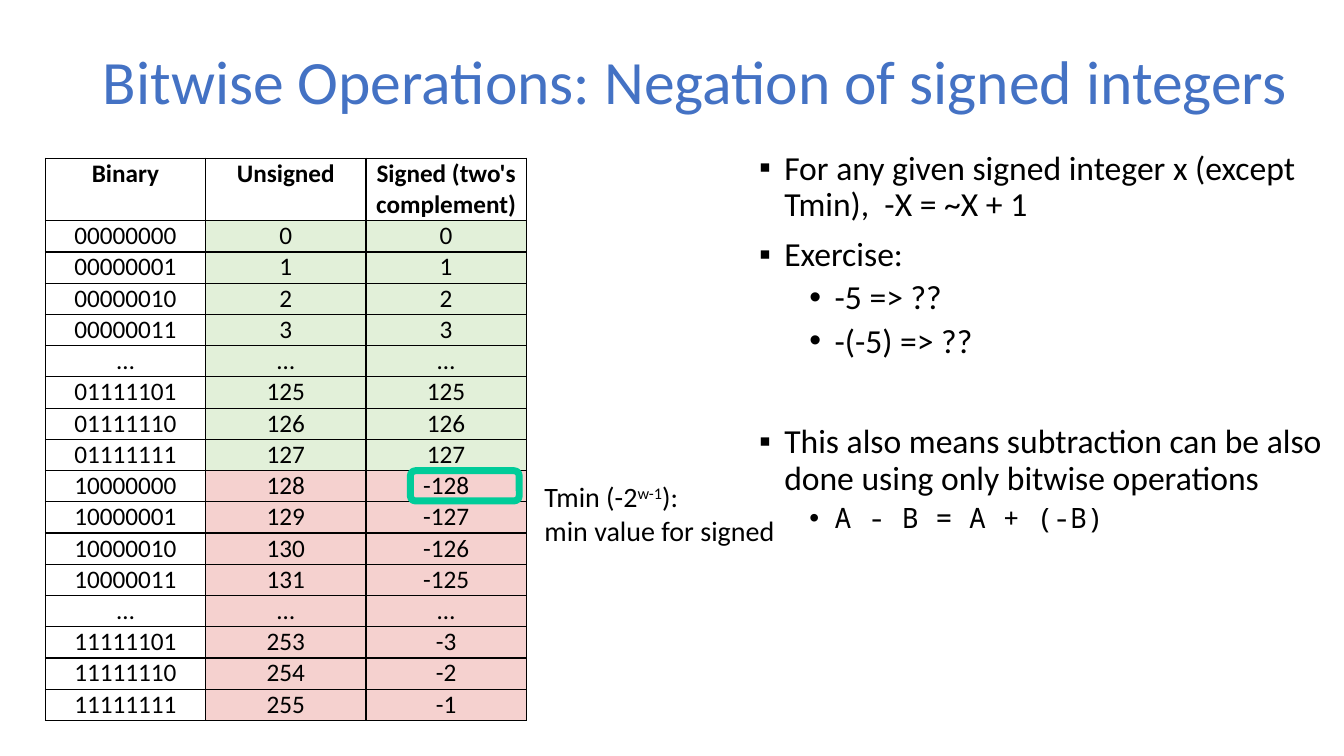
"""Build the slide on negation of signed integers."""
from lxml.etree import SubElement
from pptx import Presentation
from pptx.dml.color import RGBColor
from pptx.enum.shapes import MSO_SHAPE
from pptx.enum.text import MSO_ANCHOR, PP_ALIGN
from pptx.oxml import parse_xml
from pptx.oxml.ns import nsdecls, qn
from pptx.util import Inches, Pt

BLACK = RGBColor(0, 0, 0)
BLUE = RGBColor(0x44, 0x72, 0xC4)
GREEN = RGBColor(0xE2, 0xF0, 0xD9)
PINK = RGBColor(0xF5, 0xD1, 0xCF)
TEAL = RGBColor(0x00, 0xCC, 0x99)

LEFT, TOP = 0.45, 1.57
COL, HEAD, ROW = 1.59, 0.62, 0.31


def style(para, size, color=BLACK, face="Calibri"):
    para.font.size = Pt(size)
    para.font.name = face
    para.font.color.rgb = color


def place(left, top, width, height):
    return [Inches(side) for side in (left, top, width, height)]


deck = Presentation()
deck.slide_width, deck.slide_height = Inches(13.33), Inches(7.5)
slide = deck.slides.add_slide(deck.slide_layouts[5])
shapes = slide.shapes

title = shapes.title
title.left, title.top, title.width, title.height = place(0.92, 0.4, 12.18, 0.87)
title.text_frame.text = "Bitwise Operations: Negation of signed integers"
title.text_frame.vertical_anchor = MSO_ANCHOR.MIDDLE
para = title.text_frame.paragraphs[0]
para.alignment = PP_ALIGN.LEFT
para.line_spacing = 0.9
style(para, 44, BLUE)

rows = [("Binary", "Unsigned", "Signed (two's complement)", None)]
for num in [*range(4), None, *range(125, 132), None, *range(253, 256)]:
    tint = GREEN if len(rows) < 9 else PINK
    if num is None:
        rows.append(("…", "…", "…", tint))
    else:
        signed = num - 256 if num > 127 else num
        rows.append((f"{num:08b}", str(num), str(signed), tint))

grid = shapes.add_table(len(rows), 3, *place(
    LEFT, TOP, 3 * COL, HEAD + ROW * (len(rows) - 1))).table
grid.first_row = grid.horz_banding = False
for col in grid.columns:
    col.width = Inches(COL)
for at, (*texts, tint) in enumerate(rows):
    grid.rows[at].height = Inches(ROW if at else HEAD)
    for col, text in enumerate(texts):
        cell = grid.cell(at, col)
        cell.text = text
        cell.margin_left = cell.margin_right = Inches(0.1)
        cell.margin_top = cell.margin_bottom = 0
        for side in ("lnL", "lnR", "lnT", "lnB"):
            cell._tc.get_or_add_tcPr().append(parse_xml(
                f'<a:{side} {nsdecls("a")} w="12700"><a:solidFill>'
                f'<a:srgbClr val="{BLACK}"/></a:solidFill></a:{side}>'))
        if tint and col:
            cell.fill.solid()
            cell.fill.fore_color.rgb = tint
        else:
            cell.fill.background()
        para = cell.text_frame.paragraphs[0]
        para.alignment = PP_ALIGN.CENTER
        para.font.bold = at == 0
        style(para, 18)

ring = shapes.add_shape(MSO_SHAPE.ROUNDED_RECTANGLE, *place(
    4.07, TOP + HEAD + 8 * ROW, 1.08, 0.3))
ring.shadow.inherit = False
ring.fill.background()
ring.line.color.rgb = TEAL
ring.line.width = Pt(5)

note = shapes.add_textbox(*place(5.35, 4.71, 4.73, 0.77)).text_frame
note.word_wrap = True
note.margin_left = note.margin_right = Inches(0.05)
note.margin_top = note.margin_bottom = Inches(0.05)
first, last = note.paragraphs[0], note.add_paragraph()
for text in ("Tmin (-2", "w-1", "):"):
    first.add_run().text = text
first.runs[1].font._element.set("baseline", "30000")
last.text = "min value for signed"
style(first, 20)
style(last, 20)

points = [
    (0, 0, "For any given signed integer x (except Tmin),  -X = ~X + 1"),
    (0, 10, "Exercise:"),
    (1, 5, "-5 => ??"),
    (1, 5, "-(-5) => ??"),
    (0, 46, "This also means subtraction can be also done using only bitwise operations"),
    (1, 5, "A - B = A + (-B)"),
]
body = shapes.add_textbox(*place(7.43, 1.45, 5.78, 5.29)).text_frame
body.word_wrap = True
for at, (level, gap, text) in enumerate(points):
    para = body.add_paragraph() if at else body.paragraphs[0]
    para.text = text
    para.level = level
    para.line_spacing = 0.9
    para.space_before = Pt(gap)
    props = para._p.get_or_add_pPr()
    props.set("marL", str(Inches(0.25 + 0.5 * level)))
    props.set("indent", str(Inches(-0.25)))
    SubElement(props, qn("a:buFont"), typeface="Arial")
    SubElement(props, qn("a:buChar"), char="▪•"[level])
    if text.startswith("A"):
        style(para, 20, face="Noto Sans Mono")
    else:
        style(para, 24)

deck.save("out.pptx")
